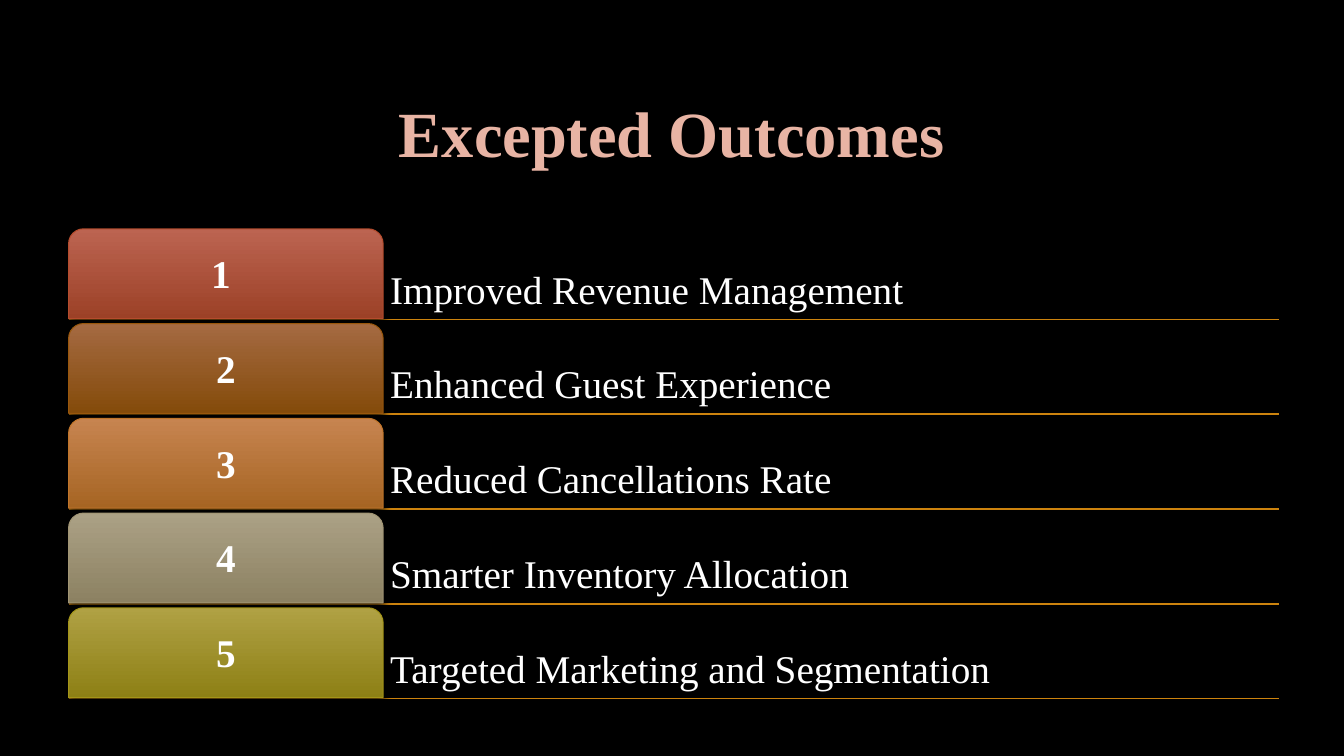
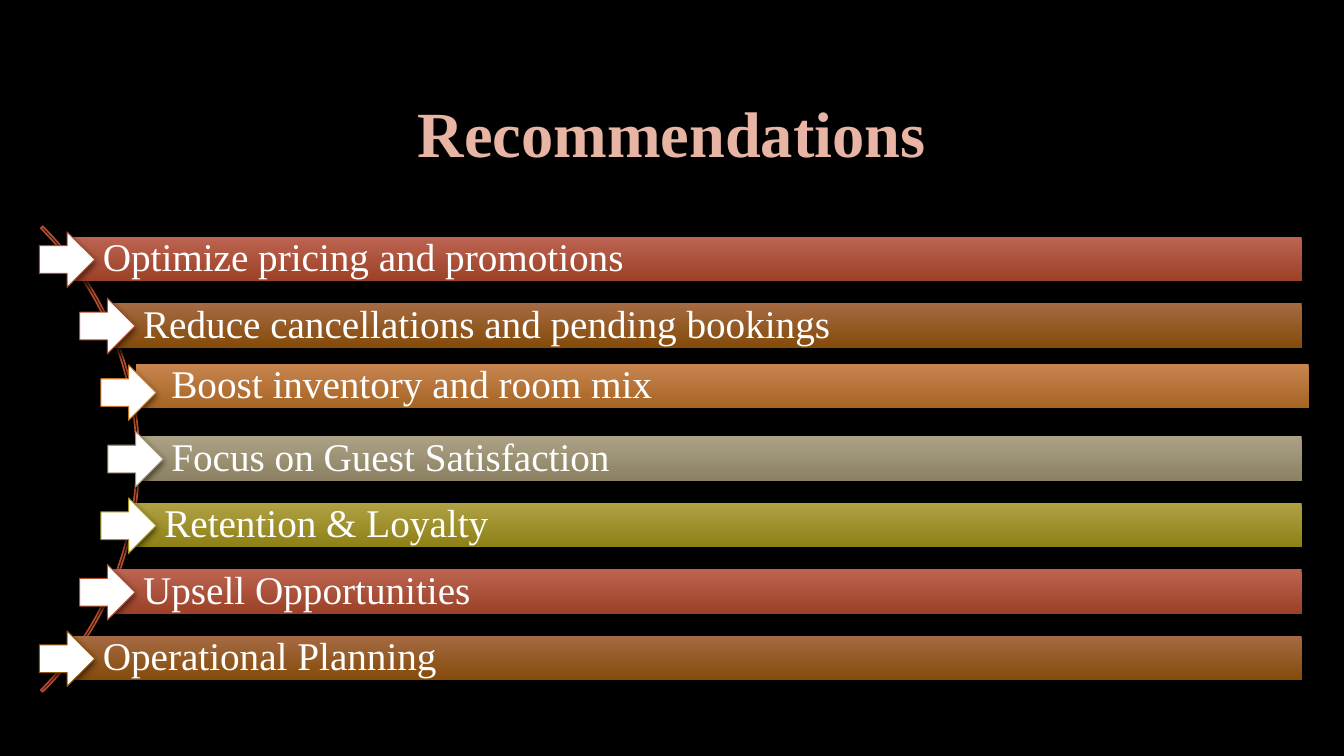
from lxml.etree import SubElement
from pptx import Presentation
from pptx.dml.color import RGBColor
from pptx.enum.shapes import MSO_CONNECTOR, MSO_SHAPE
from pptx.enum.text import MSO_ANCHOR, PP_ALIGN
from pptx.oxml.ns import qn
from pptx.util import Inches, Pt

FONT = "Times New Roman"
BLACK, WHITE = "000000", "FFFFFF"
PEACH, RUST, GOLD = "E8B4A4", "B54C2D", "CC830E"
TONES = [
    ("BC6451", "9C4127", RUST),
    ("A56A42", "844B0A", "99570C"),
    ("C78450", "A66523", "C17529"),
    ("ABA185", "8C8162", "A19574"),
    ("B0A144", "8D8015", "A49518"),
]


def color(code):
    return RGBColor.from_string(code)


class Deck:
    def __init__(self):
        self.file = Presentation()
        self.file.slide_width = Inches(13.33)
        self.file.slide_height = Inches(7.5)
        self.slide = None

    def page(self, title):
        self.slide = self.file.slides.add_slide(self.file.slide_layouts[6])
        back = self.slide.background.fill
        back.solid()
        back.fore_color.rgb = color(BLACK)
        box = self.label((1, 0.67, 11.32, 1.38), title, 46, PEACH, True,
                         PP_ALIGN.CENTER, MSO_ANCHOR.MIDDLE,
                         (0.1, 0.05, 0.1, 0.05))
        props = box.text_frame.paragraphs[0].runs[0].font._element
        edge = props.makeelement(qn("a:ln"), {"w": str(Pt(1.75))})
        fill = SubElement(edge, qn("a:solidFill"))
        SubElement(fill, qn("a:srgbClr"), val=RUST)
        props.insert(0, edge)

    def words(self, shape, text, size=28, tone=WHITE, bold=False,
              align=PP_ALIGN.LEFT, anchor=MSO_ANCHOR.MIDDLE,
              pads=(0.06, 0.06, 0.06, 0.06)):
        frame = shape.text_frame
        frame.word_wrap = True
        frame.vertical_anchor = anchor
        (frame.margin_left, frame.margin_top,
         frame.margin_right, frame.margin_bottom) = map(Inches, pads)
        para = frame.paragraphs[0]
        para.alignment = align
        para.line_spacing = 0.9
        run = para.add_run()
        run.text = text
        run.font.name = FONT
        run.font.size = Pt(size)
        run.font.bold = bold
        run.font.color.rgb = color(tone)

    def label(self, place, text, *style, **more):
        box = self.slide.shapes.add_textbox(*map(Inches, place))
        self.words(box, text, *style, **more)
        return box

    def shape(self, kind, place, fill=None, line=None, width=0.75, shade=None):
        item = self.slide.shapes.add_shape(kind, *map(Inches, place))
        if fill is None:
            item.fill.background()
        elif isinstance(fill, tuple):
            item.fill.gradient()
            item.fill.gradient_angle = 270
            for stop, tone in zip(item.fill.gradient_stops, fill):
                stop.color.rgb = color(tone)
        else:
            item.fill.solid()
            item.fill.fore_color.rgb = color(fill)
        if line:
            item.line.color.rgb = color(line)
            item.line.width = Pt(width)
        else:
            item.line.fill.background()
        item.shadow.inherit = False
        if shade:
            self.shade(item, *shade)
        return item

    def shade(self, item, alpha, blur, drop):
        holder = item._element.spPr.find(qn("a:effectLst"))
        outer = SubElement(holder, qn("a:outerShdw"), blurRad=str(Pt(blur)),
                           dist=str(Pt(drop)), dir="5400000", rotWithShape="0")
        tone = SubElement(outer, qn("a:srgbClr"), val=BLACK)
        SubElement(tone, qn("a:alpha"), val=str(alpha * 1000))

    def rule(self, left, right, top):
        line = self.slide.shapes.add_connector(
            MSO_CONNECTOR.STRAIGHT, Inches(left), Inches(top),
            Inches(right), Inches(top))
        line.line.color.rgb = color(GOLD)
        line.line.width = Pt(1.25)
        SubElement(line._element.spPr, qn("a:effectLst"))

    def tab(self, place, text, tone):
        item = self.shape(MSO_SHAPE.ROUND_2_SAME_RECTANGLE, place, tone[:2],
                          tone[2], shade=(75, 6, 3))
        self.words(item, text, bold=True, align=PP_ALIGN.CENTER)

    def bar(self, place, text, tone):
        item = self.shape(MSO_SHAPE.RECTANGLE, place, tone[:2],
                          shade=(75, 6, 3))
        self.words(item, text, pads=(0.35, 0.08, 0.08, 0.08))

    def arrow(self, left, top, line):
        self.shape(MSO_SHAPE.RIGHT_ARROW, (left, top, 0.55, 0.55), WHITE,
                   line, shade=(60, 5, 2))

    def arc(self, place, *turns):
        item = self.shape(MSO_SHAPE.BLOCK_ARC, place, line=RUST, width=1.25)
        for spot, turn in enumerate(turns):
            item.adjustments[spot] = turn


def gains(deck):
    deck.page("Excepted Outcomes")
    rows = [
        ("1 ", "Improved Revenue Management"),
        ("2", "Enhanced Guest Experience"),
        ("3", "Reduced Cancellations Rate"),
        ("4", "Smarter Inventory Allocation"),
        ("5", "Targeted Marketing and Segmentation"),
    ]
    for row, (mark, text) in enumerate(rows):
        top = 2.27 + 0.94 * row
        deck.rule(0.68, 12.69, top + 0.9)
        deck.label((3.81, top, 8.89, 0.89), text, anchor=MSO_ANCHOR.BOTTOM)
        deck.tab((0.68, top, 3.12, 0.89), mark, TONES[row])


def advice(deck):
    deck.page("Recommendations")
    deck.arc((-5.15, 1.29, 6.53, 6.53), 189, 27, 0.004)
    curve = [0.67, 1.07, 1.28, 1.35]
    lefts = curve + curve[-2::-1]
    texts = [
        "Optimize pricing and promotions",
        "Reduce cancellations and pending bookings",
        "Boost inventory and room mix",
        "Focus on Guest Satisfaction",
        "Retention & Loyalty",
        "Upsell Opportunities",
        "Operational Planning",
    ]
    shifts = {2: (0.07, -0.06)}
    lines = {1: RUST}
    for row, (left, text) in enumerate(zip(lefts, texts)):
        top = 2.35 + 0.66 * row
        right, down = shifts.get(row, (0, 0))
        tone = TONES[row % len(TONES)]
        deck.bar((left + right, top + down, 12.91 - left, 0.44), text, tone)
        deck.arrow(left - 0.28, top - 0.05, lines.get(row, tone[2]))


def main():
    deck = Deck()
    gains(deck)
    advice(deck)
    deck.file.save("out.pptx")


if __name__ == "__main__":
    main()
